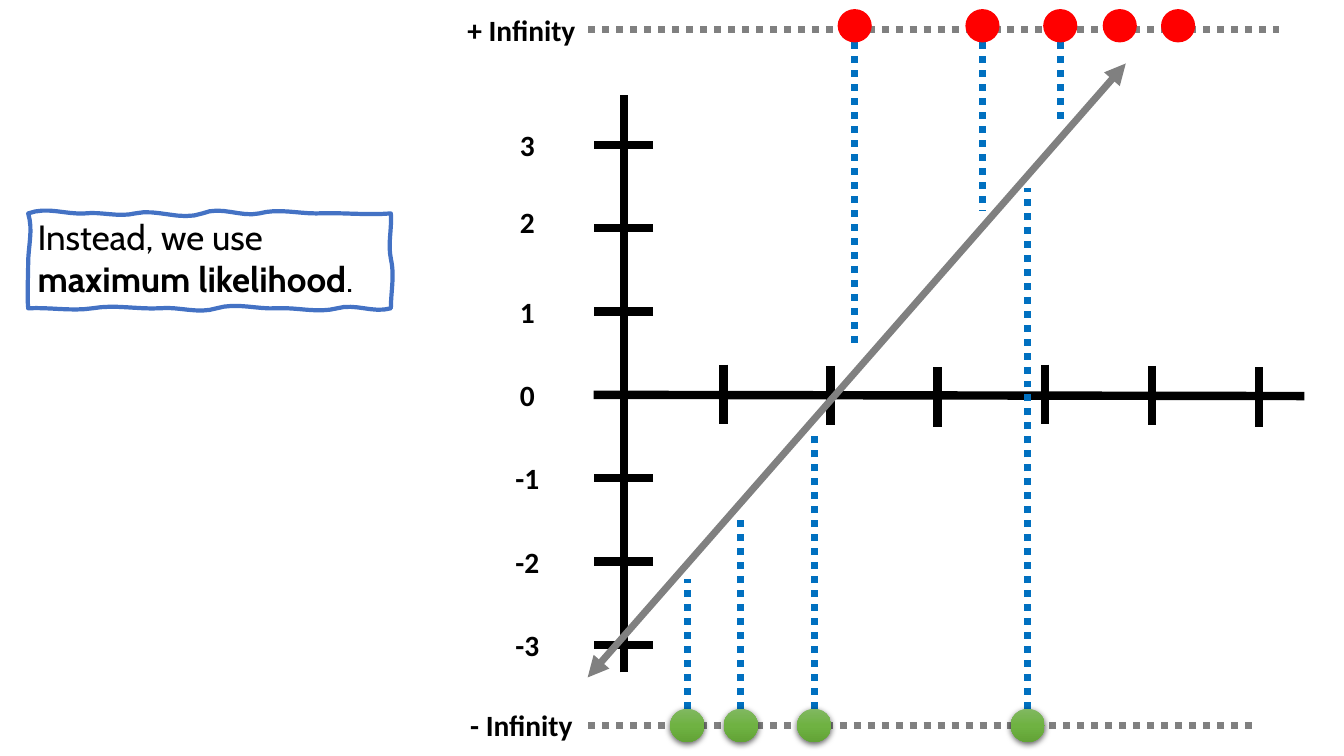
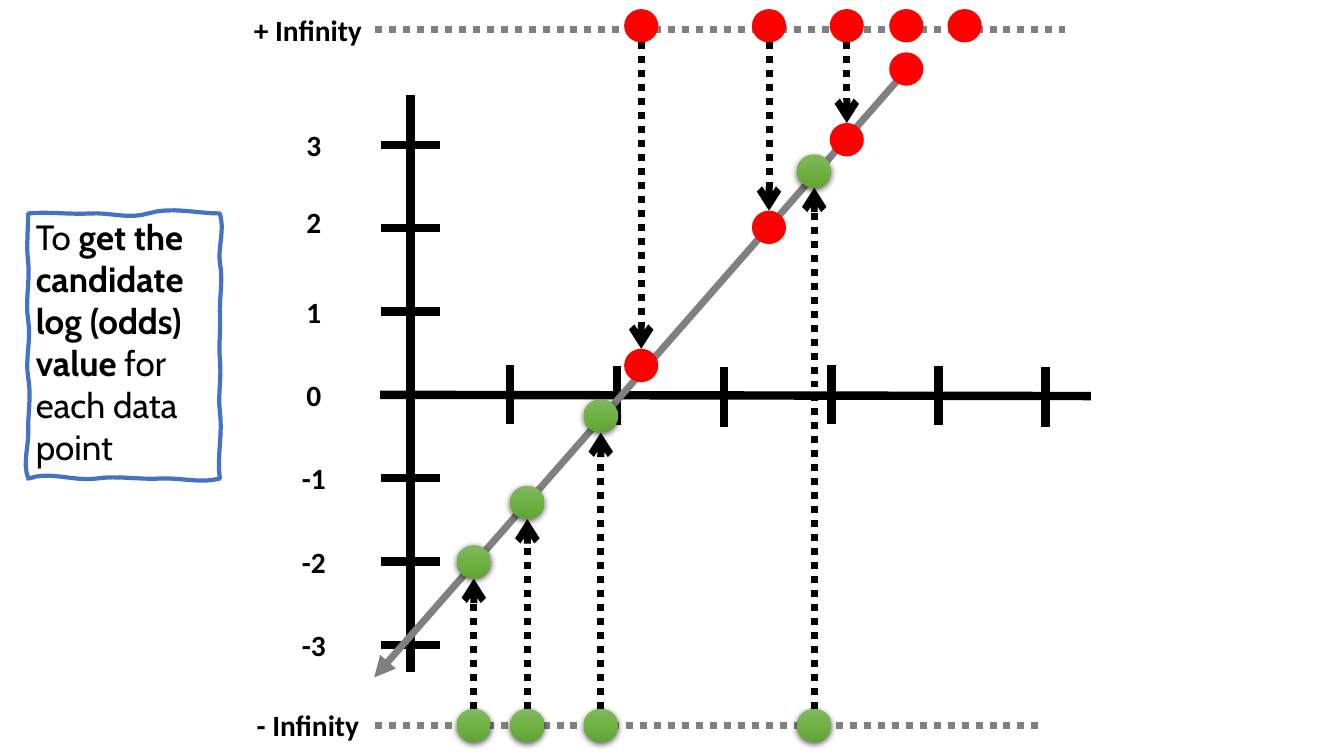
from lxml import etree
from pptx import Presentation
from pptx.dml.color import RGBColor
from pptx.enum.dml import MSO_LINE
from pptx.enum.shapes import MSO_CONNECTOR, MSO_SHAPE
from pptx.enum.text import MSO_ANCHOR, PP_ALIGN
from pptx.oxml import parse_xml
from pptx.oxml.ns import nsdecls, qn
from pptx.util import Cm, Pt

STRAIGHT, OVAL = MSO_CONNECTOR.STRAIGHT, MSO_SHAPE.OVAL
DOTTED = MSO_LINE.ROUND_DOT
LEFT, CENTER, TOP = PP_ALIGN.LEFT, PP_ALIGN.CENTER, MSO_ANCHOR.TOP
color = RGBColor.from_string

BLACK, GRAY, BLUE, RED = "000000", "808080", "0070C0", "FF0000"
FRAME_BLUE = "4472C4"
GREEN_FILL = f"""<a:gradFill {nsdecls('a')} rotWithShape="1"><a:gsLst>
<a:gs pos="0"><a:srgbClr val="81B861"/></a:gs>
<a:gs pos="50000"><a:srgbClr val="6FB242"/></a:gs>
<a:gs pos="100000"><a:srgbClr val="62A336"/></a:gs>
</a:gsLst><a:lin ang="5400000" scaled="0"/></a:gradFill>"""
GREEN_SHADOW = f"""<a:effectLst {nsdecls('a')}>
<a:outerShdw blurRad="57150" dist="19050" dir="5400000" algn="ctr" rotWithShape="0">
<a:srgbClr val="000000"><a:alpha val="63000"/></a:srgbClr></a:outerShdw></a:effectLst>"""

# All lengths are in cm; x values of the plot count from its vertical axis.
ZERO_Y, UNIT = 9.95, 2.1
LABEL_HEIGHT = 1.14
LABEL_NUDGE = {2: -0.15}
FIRST_TICK, TICK_GAP = 2.51, 2.7
DOT_WIDTH, DOT_HEIGHT = 0.86, 0.84
TOP_Y, BOTTOM_Y = 0.65, 18.28
# Each data point: x, and the height at which it meets the fitted line.
RED_POINTS = [(5.82, 9.21), (9.04, 5.73), (11, 3.52), (12.5, 1.74), (13.97, None)]
GREEN_POINTS = [(1.6, 14.16), (2.95, 12.66), (4.8, 10.48), (10.18, 4.31)]
SHORTEST_DROP = 2

NOTE_LEFT, NOTE_TOP = 0.71, 5.38
CURVE_STEPS = 8
DIRECTIONS = [(1, 0), (0, 1), (-1, 0), (0, -1)]

# Frame edges run clockwise: (distance of the knot, first bulge, second bulge).
SLIDES = [
    {
        "axis_x": 15.72, "drop_color": BLUE, "fitted": False,
        "note": [("Instead, we use ", False), ("maximum likelihood", True), (".", False)],
        "frame": [
            [(1.42, -0.18, 0.03), (2.69, -0.05, 0.1), (4.39, -0.13, 0.2),
             (5.82, -0.2, 0.1), (7.26, -0.13, 0), (9.14, -0.03, 0.05)],
            [(1.14, 0.03, -0.08), (2.39, 0.1, 0)],
            [(1.35, 0.13, -0.13), (2.87, 0.13, -0.03), (4.39, 0.03, -0.15),
             (5.82, 0.15, -0.05), (7.52, 0.03, -0.1), (9.14, 0.08, -0.03)],
            [(1.14, -0.03, 0), (2.39, 0, 0.13)],
        ],
    },
    {
        "axis_x": 10.34, "drop_color": BLACK, "fitted": True,
        "note": [("To ", False), ("get the candidate log (odds) value ", True),
                 ("for each data point", False)],
        "frame": [
            [(1.57, -0.05, 0.03), (3.02, -0.03, 0.15), (4.83, -0.18, 0)],
            [(1.24, 0.13, -0.05), (2.46, 0.08, 0), (3.66, 0.03, -0.03),
             (4.98, 0.05, -0.05), (6.68, 0.08, -0.08)],
            [(1.5, 0.13, -0.03), (3.12, 0.03, -0.08), (4.83, 0.08, -0.2)],
            [(1.27, -0.15, 0.03), (2.54, 0, 0.08), (3.99, -0.08, 0.08),
             (5.46, -0.08, 0.05), (6.68, -0.05, 0)],
        ],
    },
]


def write(shape, runs, font="Calibri", size=21, align=CENTER, wrap=False):
    """Fill a shape with runs given as (text, bold) pairs."""
    frame = shape.text_frame
    frame.word_wrap = wrap
    frame.vertical_anchor = TOP
    para = frame.paragraphs[0]
    para.alignment = align
    for text, bold in runs:
        span = para.add_run()
        span.text = text
        span.font.name = font
        span.font.size = Pt(size)
        span.font.bold = bold
        span.font.color.rgb = color(BLACK)


def draw_line(page, start, end, stroke=BLACK, width=6, dotted=False, head=None, tail=None):
    line = page.shapes.add_connector(STRAIGHT, *map(Cm, (*start, *end)))
    line.line.color.rgb = color(stroke)
    line.line.width = Pt(width)
    if dotted:
        line.line.dash_style = DOTTED
    properties = line._element.spPr
    for tag, kind in (("a:headEnd", head), ("a:tailEnd", tail)):
        if kind:
            etree.SubElement(properties.find(qn("a:ln")), qn(tag), type=kind)
    etree.SubElement(properties, qn("a:effectLst"))


deck = Presentation()
deck.slide_width, deck.slide_height = Cm(33.87), Cm(19.05)

for content in SLIDES:
    page = deck.slides.add_slide(deck.slide_layouts[6])
    axis_x, fitted = content["axis_x"], content["fitted"]

    # Axes and ticks
    draw_line(page, (axis_x, 16.94), (axis_x, 2.4))
    draw_line(page, (axis_x - 0.76, 9.95), (axis_x + 17.15, 9.98))
    for index in range(6):
        tick_x = axis_x + FIRST_TICK + index * TICK_GAP
        tick_top = 9.19 + 0.03 * (index % 3)
        draw_line(page, (tick_x, tick_top), (tick_x, tick_top + 1.5))
    labels = [("+ Infinity", -4.27, 3.38, 0.18), ("- Infinity", -4.27, 3.38, 17.7)]
    for value in range(3, -4, -1):
        tick_y = ZERO_Y - value * UNIT
        if value:
            draw_line(page, (axis_x + 0.74, tick_y), (axis_x - 0.74, tick_y))
        label_top = tick_y - LABEL_HEIGHT / 2 + LABEL_NUDGE.get(value, 0)
        labels.append((str(value), -3.94, 3.02, label_top))
    for text, left, width, top in labels:
        box = page.shapes.add_textbox(Cm(axis_x + left), Cm(top), Cm(width), Cm(LABEL_HEIGHT))
        write(box, [(text, True)])

    # Fitted line and the guides at infinity
    draw_line(page, (axis_x - 0.91, 17.07), (axis_x + 12.65, 1.6), GRAY, 5,
              head="triangle", tail="triangle")
    for guide_y, guide_end in ((0.75, 16.5), (BOTTOM_Y, 16)):
        draw_line(page, (axis_x - 0.89, guide_y), (axis_x + guide_end, guide_y),
                  GRAY, 5, dotted=True)

    # Drops from each data point towards the line
    dots = []
    for points, from_y, side, dot_color in (
        (RED_POINTS, TOP_Y, 1, RED),
        (GREEN_POINTS, BOTTOM_Y, -1, None),
    ):
        for x, line_y in points:
            dot_x = axis_x + x
            dots.append((dot_x, from_y, dot_color))
            if line_y is None:
                continue
            if fitted:
                dots.append((dot_x, line_y, dot_color))
            if abs(line_y - from_y) > SHORTEST_DROP:
                edge = side * DOT_HEIGHT / 2
                draw_line(page, (dot_x, from_y + edge), (dot_x, line_y - edge),
                          content["drop_color"], 5, dotted=True,
                          tail="arrow" if fitted else None)

    for dot_x, dot_y, dot_color in dots:
        dot = page.shapes.add_shape(OVAL, Cm(dot_x - DOT_WIDTH / 2), Cm(dot_y - DOT_HEIGHT / 2),
                                    Cm(DOT_WIDTH), Cm(DOT_HEIGHT))
        dot.line.fill.background()
        if dot_color:
            dot.shadow.inherit = False
            dot.fill.solid()
            dot.fill.fore_color.rgb = color(dot_color)
        else:
            properties = dot._element.spPr
            properties.find(qn("a:prstGeom")).addnext(parse_xml(GREEN_FILL))
            properties.find(qn("a:ln")).addnext(parse_xml(GREEN_SHADOW))

    # Note with a hand-drawn frame
    corner_x, corner_y = NOTE_LEFT, NOTE_TOP
    outline = []
    for (step_x, step_y), knots in zip(DIRECTIONS, content["frame"]):
        done = 0
        for knot, bulge_1, bulge_2 in knots:
            for step in range(1, CURVE_STEPS + 1):
                t = step / CURVE_STEPS
                along = done + (knot - done) * t
                bulge = 3 * t * (1 - t) * ((1 - t) * bulge_1 + t * bulge_2)
                outline.append((Cm(corner_x + step_x * along + abs(step_y) * bulge),
                                Cm(corner_y + step_y * along + abs(step_x) * bulge)))
            done = knot
        corner_x += step_x * done
        corner_y += step_y * done
    builder = page.shapes.build_freeform(Cm(NOTE_LEFT), Cm(NOTE_TOP))
    builder.add_line_segments(outline, close=True)
    note = builder.convert_to_shape()
    note.shadow.inherit = False
    note.fill.background()
    note.line.color.rgb = color(FRAME_BLUE)
    note.line.width = Pt(3)
    write(note, content["note"], font="Cabin", size=25, align=LEFT, wrap=True)

deck.save("out.pptx")
